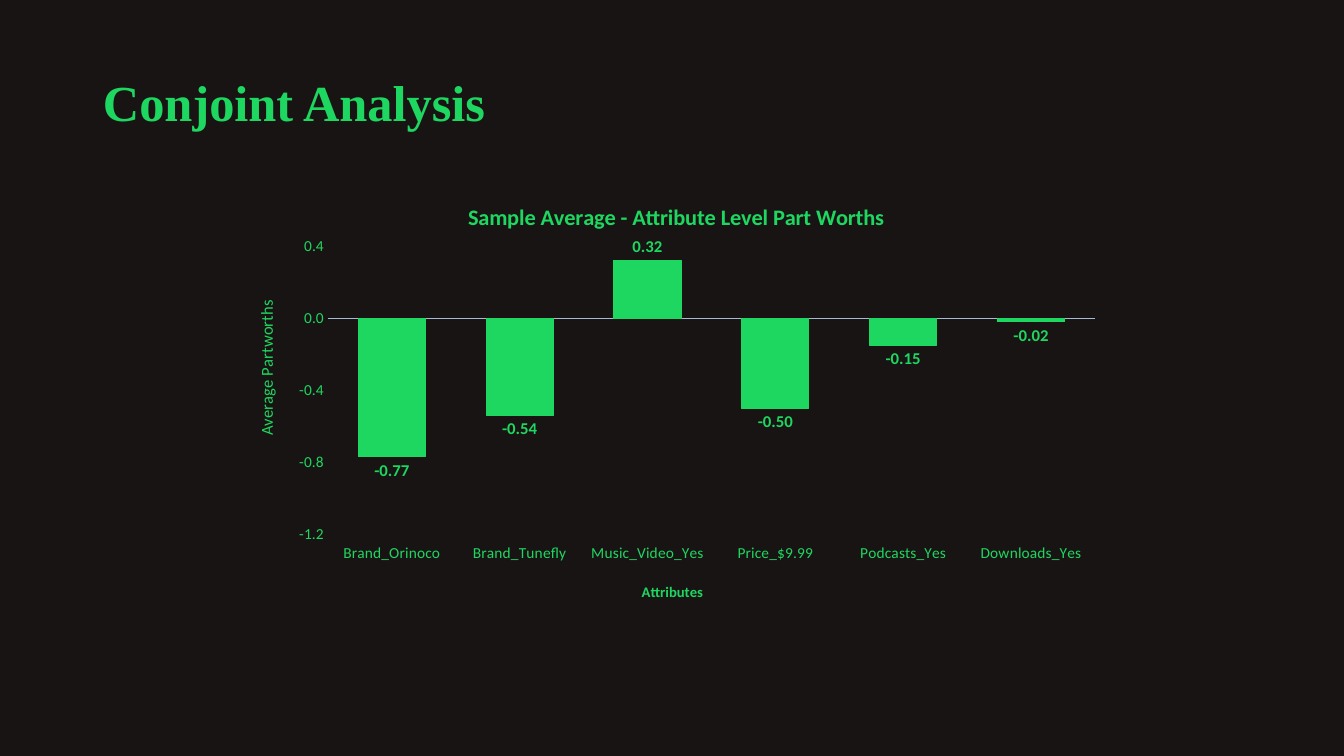
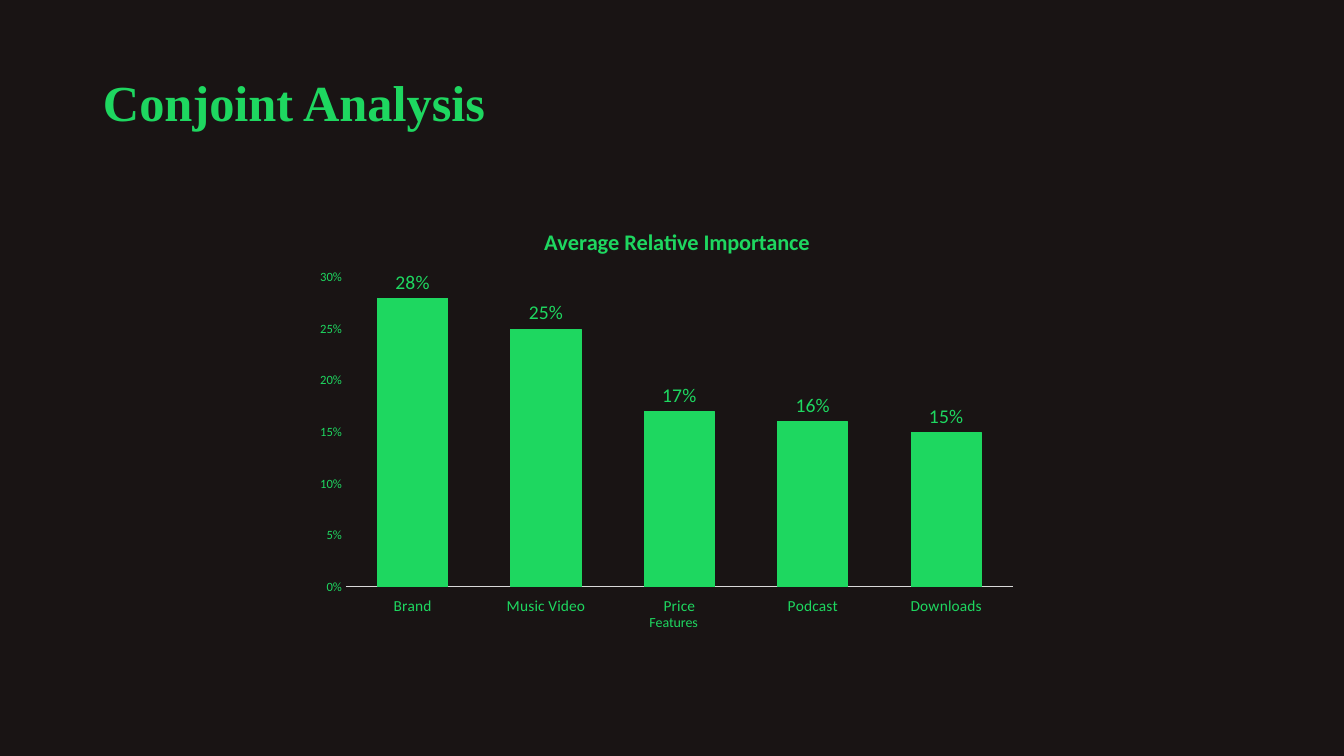
"""Build two conjoint analysis slides, each with a title and a column chart."""
from lxml import etree
from pptx import Presentation
from pptx import util as u
from pptx.chart.data import CategoryChartData
from pptx.dml.color import RGBColor
from pptx.enum import chart as charts, text
from pptx.oxml.ns import qn

SCALE = 914400 / 100.8
COLORS = {"back": "191414", "green": "1ED760", "steel": "A5BBD1", "grey": "D9D9D9"}


def write(frame, words, size=10, bold=False, font="Calibri", spacing=None):
    para = frame.paragraphs[0]
    para.line_spacing = spacing
    span = para.add_run()
    span.text = words
    span.font.size = u.Pt(size)
    span.font.bold = bold
    span.font.name = font
    span.font.color.rgb = RGBColor.from_string(COLORS["green"])


def place(part, fractions, inner=False):
    layout = part.find(qn("c:layout"))
    if layout is None:
        layout = etree.Element(qn("c:layout"))
        part.insert(0 if inner else 1, layout)
    manual = etree.SubElement(layout, qn("c:manualLayout"))
    settings = [("layoutTarget", "inner")] if inner else []
    settings += [("xMode", "edge"), ("yMode", "edge")]
    settings += [(key, f"{value:.4f}") for key, value in zip("xywh", fractions)]
    for tag, value in settings:
        etree.SubElement(manual, qn(f"c:{tag}")).set("val", value)


graphs = [
    {
        "box": (246, 178, 853, 428), "plot": (82, 69, 767, 291), "overlap": 0,
        "values": {"Brand_Orinoco": -0.77, "Brand_Tunefly": -0.54, "Music_Video_Yes": 0.32,
                   "Price_$9.99": -0.5, "Podcasts_Yes": -0.15, "Downloads_Yes": -0.02},
        "title": ("Sample Average - Attribute Level Part Worths", 464, 198),
        "category": ("Attributes", 639, 584, 10.5, True),
        "value": ("Average Partworths", 252, 300, 12, False),
        "range": (-1.2, 0.4, 0.4), "formats": ("0.0", "0.00"),
        "tick_size": 11, "label": (12, True), "line": ("steel", 0.25),
    },
    {
        "box": (302, 204, 739, 431), "plot": (44, 74, 667, 311), "overlap": -27,
        "values": {"Brand": 0.28, "Music Video": 0.25, "Price": 0.17,
                   "Podcast": 0.16, "Downloads": 0.15},
        "title": ("Average Relative Importance", 540, 223),
        "category": ("Features", 647, 613, 10, False),
        "value": None,
        "range": (0, 0.3, 0.05), "formats": ("0%", "0%"),
        "tick_size": 9, "label": (14, False), "line": ("grey", 0.75),
    },
]

deck = Presentation()
deck.slide_width, deck.slide_height = round(1344 * SCALE), round(756 * SCALE)
green = RGBColor.from_string(COLORS["green"])

for graph in graphs:
    page = deck.slides.add_slide(deck.slide_layouts[6])
    page.background.fill.solid()
    page.background.fill.fore_color.rgb = RGBColor.from_string(COLORS["back"])

    box = page.shapes.add_textbox(*(round(n * SCALE) for n in (93, 32, 1159, 146)))
    box.text_frame.word_wrap = True
    box.text_frame.vertical_anchor = text.MSO_ANCHOR.MIDDLE
    write(box.text_frame, "Conjoint Analysis", size=36, bold=True,
          font="Times New Roman", spacing=0.9)

    data = CategoryChartData()
    data.categories = list(graph["values"])
    data.add_series("Series 1", list(graph["values"].values()))
    left, top, width, height = graph["box"]
    chart = page.shapes.add_chart(charts.XL_CHART_TYPE.COLUMN_CLUSTERED,
                                  *(round(n * SCALE) for n in graph["box"]), data).chart
    chart.has_legend = False
    chart.font.size, chart.font.name = u.Pt(10), "Calibri"
    x, y, across, down = graph["plot"]
    place(chart.element.xpath(".//c:plotArea")[0],
          (x / width, y / height, across / width, down / height), inner=True)

    categories, values = chart.category_axis, chart.value_axis
    headings = [(chart.chart_title, (*graph["title"], 16, True)),
                (categories.axis_title, graph["category"])]
    if graph["value"]:
        headings.append((values.axis_title, graph["value"]))
    for heading, (words, x, y, size, bold) in headings:
        write(heading.text_frame, words, size=size, bold=bold)
        place(heading.element, ((x - left) / width, (y - top) / height))

    for axis, size in ((categories, 11), (values, graph["tick_size"])):
        axis.has_major_gridlines = False
        axis.major_tick_mark = axis.minor_tick_mark = charts.XL_TICK_MARK.NONE
        axis.tick_labels.font.size = u.Pt(size)
        axis.tick_labels.font.name = "Calibri"
        axis.tick_labels.font.color.rgb = green
    categories.tick_label_position = charts.XL_TICK_LABEL_POSITION.LOW
    color, weight = graph["line"]
    categories.format.line.color.rgb = RGBColor.from_string(COLORS[color])
    categories.format.line.width = u.Pt(weight)
    values.format.line.fill.background()
    values.minimum_scale, values.maximum_scale, values.major_unit = graph["range"]
    axis_format, label_format = graph["formats"]
    values.tick_labels.number_format = axis_format
    values.tick_labels.number_format_is_linked = False

    plot = chart.plots[0]
    plot.gap_width, plot.overlap = 90, graph["overlap"]
    plot.vary_by_categories = False
    bars = plot.series[0]
    bars.invert_if_negative = False
    bars.format.fill.solid()
    bars.format.fill.fore_color.rgb = green
    bars.format.line.color.rgb = green
    bars.format.line.width = u.Pt(0.75)
    labels = bars.data_labels
    labels.show_value = True
    labels.position = charts.XL_LABEL_POSITION.OUTSIDE_END
    labels.number_format, labels.number_format_is_linked = label_format, False
    size, bold = graph["label"]
    labels.font.size, labels.font.bold = u.Pt(size), bold
    labels.font.name, labels.font.color.rgb = "Calibri", green

deck.save("out.pptx")
